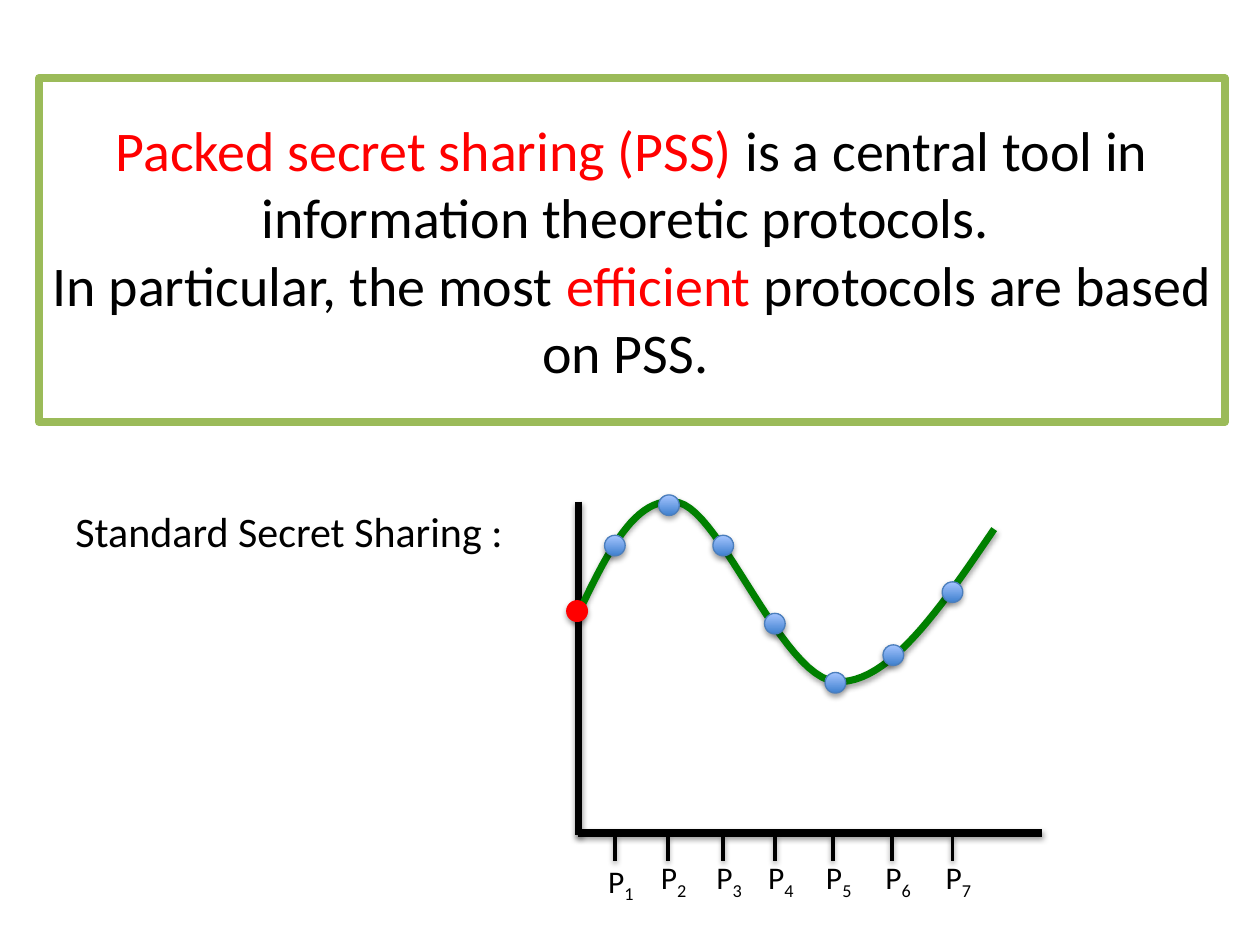
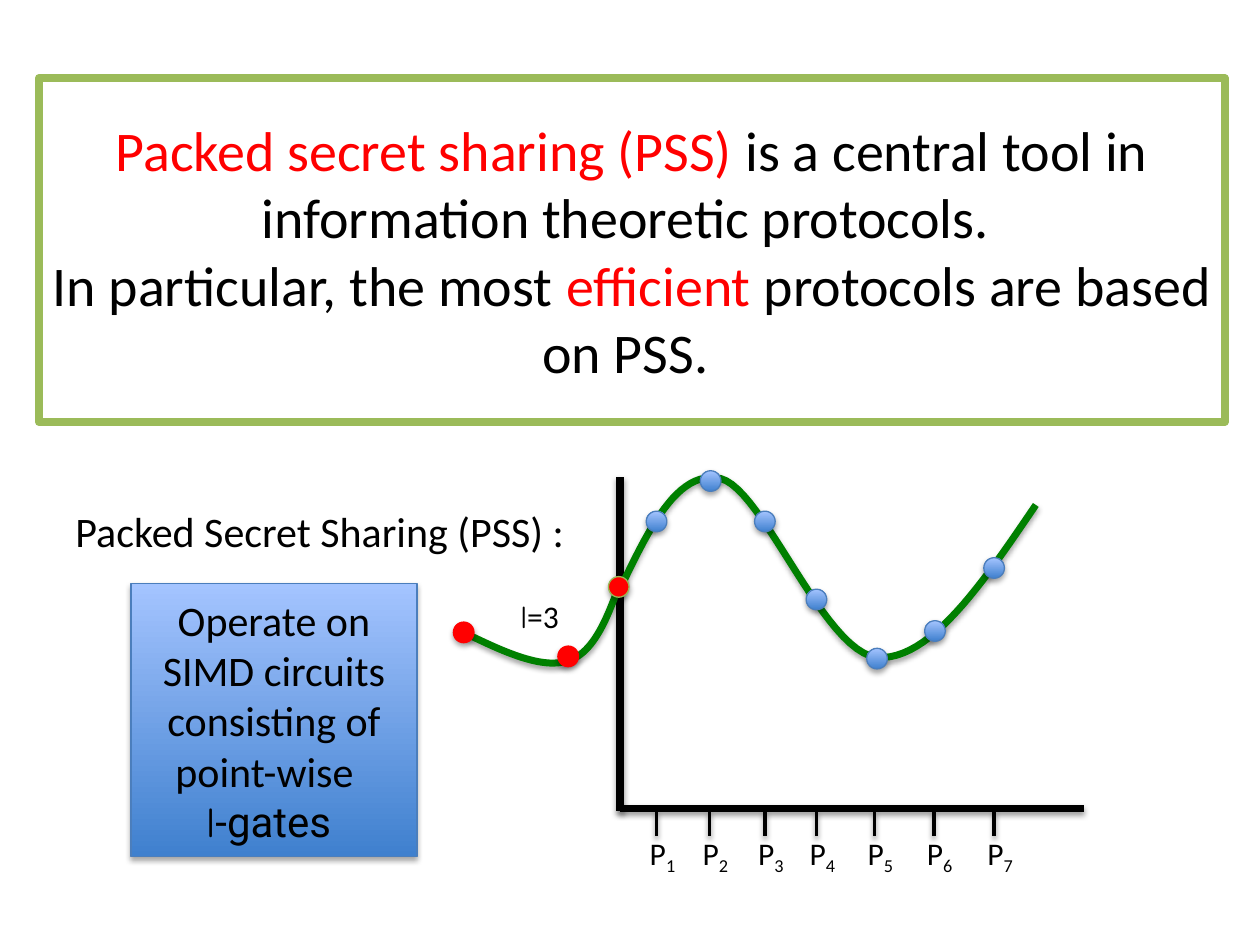
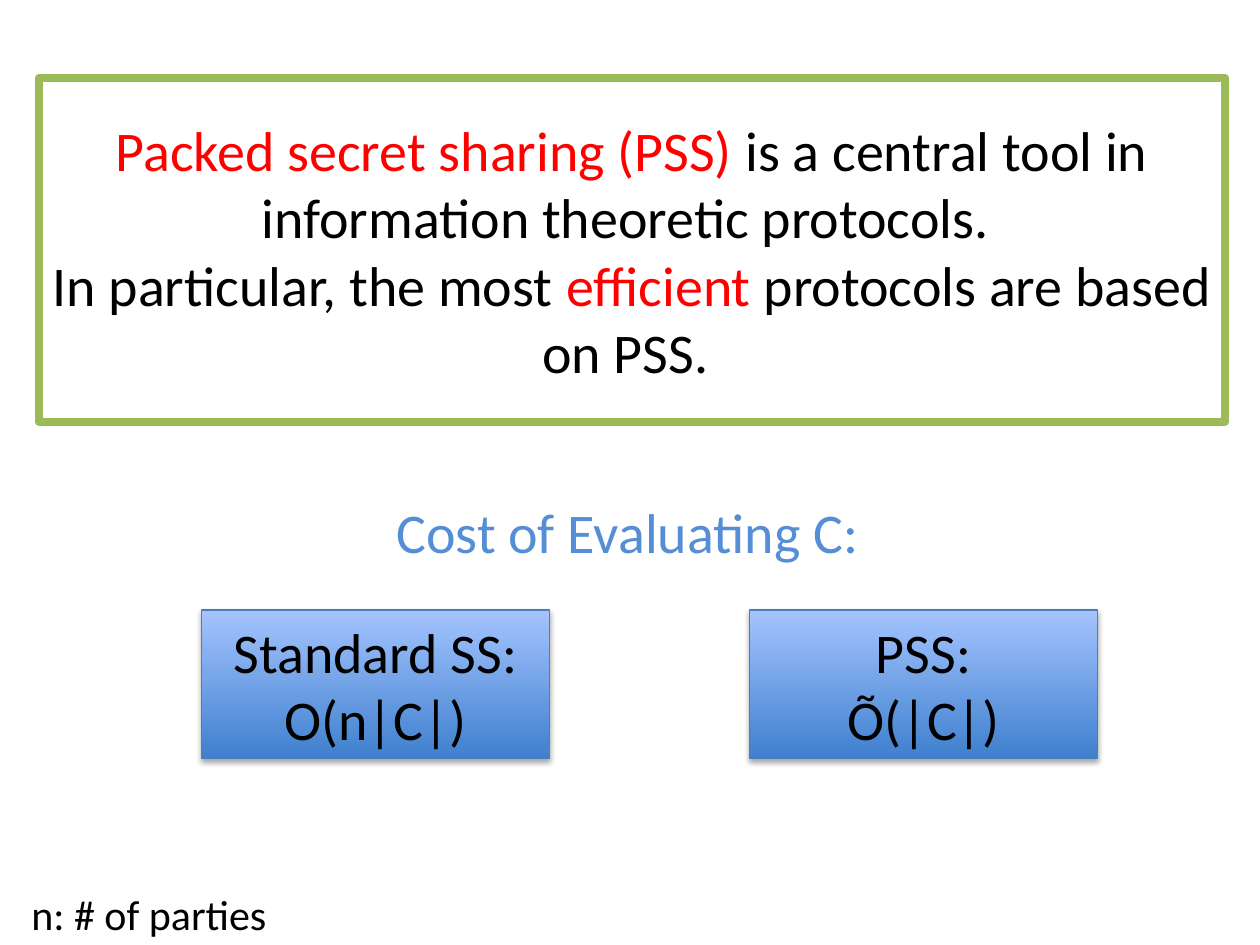
from pptx import Presentation
from pptx import util as u
from pptx.dml.color import RGBColor
from pptx.enum import shapes, text
from pptx.oxml import parse_xml

COLORS = {
    "black": "000000", "white": "FFFFFF", "red": "FF0000", "frame": "9BBB59",
    "curve": "008000", "deep": "3F80CE", "pale": "A4C4FF", "edge": "4B7EBC",
    "olive": "98B955", "heading": "558ED5",
}
FONT = "Calibri"
NAMESPACE = "http://schemas.openxmlformats.org/drawingml/2006/main"
DOT = 11.8

BANNER_BOX = (22.3, 44.6, 677.5, 196.6)
BANNER = [
    [("Packed secret sharing (PSS) ", "red"),
     ("is a central tool in information theoretic protocols. ", "black")],
    [("In particular, the most ", "black"), ("efficient", "red"),
     (" protocols are based on PSS. ", "black")],
]

AXES = [((330.5, 286.6), (330.5, 477.4)), ((595.4, 475.9), (330.5, 475.9))]
TICK_TOP, TICK_BOTTOM, LABEL_TOP = 477.7, 491.8, 486.6
PARTIES = [
    (351.4, 351.4, 311.8), (381.6, 382.3, 288.7), (413.3, 413.3, 311.8),
    (442.8, 442.8, 356.4), (475.9, 477.4, 390.2), (509.8, 510.5, 374.4),
    (544.3, 544.3, 338.4),
]
SECRET = (329.8, 349.2)
SHARE_CURVE = [
    (329, 353.5), (346.3, 317.5), (362.9, 281.5), (388.1, 287.3),
    (412.6, 293.8), (447.1, 386.6), (477.4, 389.5),
    (507.6, 391.7), (537.8, 347), (568.1, 302.4),
]
PACKED_SHIFT = (23.8, -13.8)
PACKED_CURVE = [
    (353.5, 335.5), (346.3, 355), (338.4, 374.4), (323.3, 378),
    (307.4, 382.3), (284.4, 370.8), (260.6, 359.3),
]
PACKED_SECRETS = [(324.7, 375.1), (265, 361.4)]
SIMD_NOTE = [
    [("Operate on SIMD circuits consisting of point-wise  ", "black")],
    [("l", "black", "Comic Neue"), ("-gates ", "black", "Roboto")],
]
COSTS = [("Standard SS:", "O(n|C|)", 115.2), ("PSS:", "Õ(|C|)", 428.4)]


def rgb(name):
    return RGBColor.from_string(COLORS[name])


def points(*values):
    return [u.Pt(value) for value in values]


def write(shape, paragraphs, size, centered=False, middle=False):
    frame = shape.text_frame
    frame.word_wrap = True
    frame.auto_size = text.MSO_AUTO_SIZE.NONE
    frame.vertical_anchor = text.MSO_ANCHOR.MIDDLE if middle else text.MSO_ANCHOR.TOP
    for index, runs in enumerate(paragraphs):
        paragraph = frame.paragraphs[0] if index == 0 else frame.add_paragraph()
        paragraph.alignment = text.PP_ALIGN.CENTER if centered else text.PP_ALIGN.LEFT
        for content, color, *font in runs:
            run = paragraph.add_run()
            run.text = content
            run.font.size = u.Pt(size)
            run.font.name = font[0] if font else FONT
            run.font.color.rgb = rgb(color)


def add_text(slide, box, paragraphs, size, **layout):
    shape = slide.shapes.add_textbox(*points(*box))
    write(shape, paragraphs, size, **layout)
    return shape


def outline(shape, color, width):
    shape.line.color.rgb = rgb(color)
    shape.line.width = u.Pt(width)


def add_shadow(shape, distance=1.8, opacity=35):
    shape._element.spPr.append(parse_xml(
        f'<a:effectLst xmlns:a="{NAMESPACE}"><a:outerShdw blurRad="{u.Pt(3.1)}" '
        f'dist="{u.Pt(distance)}" dir="5400000" rotWithShape="0">'
        f'<a:srgbClr val="{COLORS["black"]}"><a:alpha val="{opacity * 1000}"/>'
        '</a:srgbClr></a:outerShdw></a:effectLst>'))


def add_line(slide, start, end, width):
    line = slide.shapes.add_connector(
        shapes.MSO_CONNECTOR.STRAIGHT, *points(*start, *end))
    outline(line, "black", width)
    add_shadow(line, 1.6, 38)


def add_blue(slide, kind, box):
    shape = slide.shapes.add_shape(kind, *points(*box))
    shape.fill.gradient()
    shape.fill.gradient_angle = 90
    for stop, color in zip(shape.fill.gradient_stops, ("deep", "pale")):
        stop.color.rgb = rgb(color)
    outline(shape, "edge", 0.75)
    add_shadow(shape)
    return shape


def dot_box(center):
    return (center[0] - DOT / 2, center[1] - DOT / 2, DOT, DOT)


def add_secret(slide, center, edge="red"):
    dot = slide.shapes.add_shape(shapes.MSO_SHAPE.OVAL, *points(*dot_box(center)))
    dot.fill.solid()
    dot.fill.fore_color.rgb = rgb("red")
    outline(dot, edge, 0.75)
    add_shadow(dot)


def bezier(controls, steps=24):
    track = [controls[0]]
    for first in range(0, len(controls) - 1, 3):
        a, b, c, d = controls[first:first + 4]
        for step in range(1, steps + 1):
            t = step / steps
            s = 1 - t
            track.append(tuple(
                s**3 * a[k] + 3 * s * s * t * b[k] + 3 * s * t * t * c[k] + t**3 * d[k]
                for k in (0, 1)))
    return track


def add_curve(slide, controls):
    track = [points(*point) for point in bezier(controls)]
    builder = slide.shapes.build_freeform(*track[0])
    builder.add_line_segments(track[1:], close=False)
    curve = builder.convert_to_shape()
    curve.fill.background()
    outline(curve, "curve", 4)
    add_shadow(curve)


def add_graph(slide, shift=(0, 0), first_label_drop=0):
    def move(x, y):
        return x + shift[0], y + shift[1]

    for start, end in AXES:
        add_line(slide, move(*start), move(*end), 4.25)
    for number, (tick, _, _) in enumerate(PARTIES, 1):
        add_line(slide, move(tick, TICK_TOP), move(tick, TICK_BOTTOM), 2)
        drop = first_label_drop if number == 1 else 0
        label = add_text(slide, (*move(tick - 11, LABEL_TOP + drop), 32.4, 28.8),
                         [[("P", "black"), (str(number), "black")]], 18)
        subscript = label.text_frame.paragraphs[0].runs[1]
        subscript.font._element.set("baseline", "-25000")
    add_curve(slide, [move(*point) for point in SHARE_CURVE])
    for _, x, y in PARTIES:
        add_blue(slide, shapes.MSO_SHAPE.OVAL, dot_box(move(x, y)))
    return move(*SECRET)


def add_slide(presentation):
    slide = presentation.slides.add_slide(presentation.slide_layouts[5])
    title = slide.shapes.title
    title.left, title.top, title.width, title.height = points(*BANNER_BOX)
    title.fill.solid()
    title.fill.fore_color.rgb = rgb("white")
    outline(title, "frame", 4.5)
    write(title, BANNER, 32, centered=True, middle=True)
    return slide


presentation = Presentation()
presentation.slide_width, presentation.slide_height = points(720, 540)

standard = add_slide(presentation)
add_secret(standard, add_graph(standard, first_label_drop=2.2))
add_text(standard, (36, 285.1, 262, 65.5),
         [[("Standard Secret Sharing :", "black")]], 24)

packed = add_slide(presentation)
axis_secret = add_graph(packed, PACKED_SHIFT)
add_curve(packed, PACKED_CURVE)
for center in PACKED_SECRETS:
    add_secret(packed, center)
add_secret(packed, axis_secret, "olive")
note = add_blue(packed, shapes.MSO_SHAPE.RECTANGLE, (74.9, 333.4, 163.4, 156.2))
write(note, SIMD_NOTE, 24, centered=True, middle=True)
add_text(packed, (290.2, 337.7, 41.8, 28.8),
         [[("l", "black", "Comic Neue"), ("=3", "black")]], 18)
add_text(packed, (36, 285.1, 298, 65.5),
         [[("Packed Secret Sharing (PSS) :", "black")]], 24)

cost = add_slide(presentation)
add_text(cost, (34.6, 258.5, 648, 90), [[("Cost of Evaluating C:", "heading")]],
         32, centered=True, middle=True)
for name, formula, left in COSTS:
    box = add_blue(cost, shapes.MSO_SHAPE.RECTANGLE, (left, 348.5, 198.7, 85))
    write(box, [[(name, "black")], [(formula, "black")]], 32, centered=True, middle=True)
add_text(cost, (10.8, 504, 150.5, 36), [[("n: # of parties ", "black")]], 24)

presentation.save("out.pptx")
